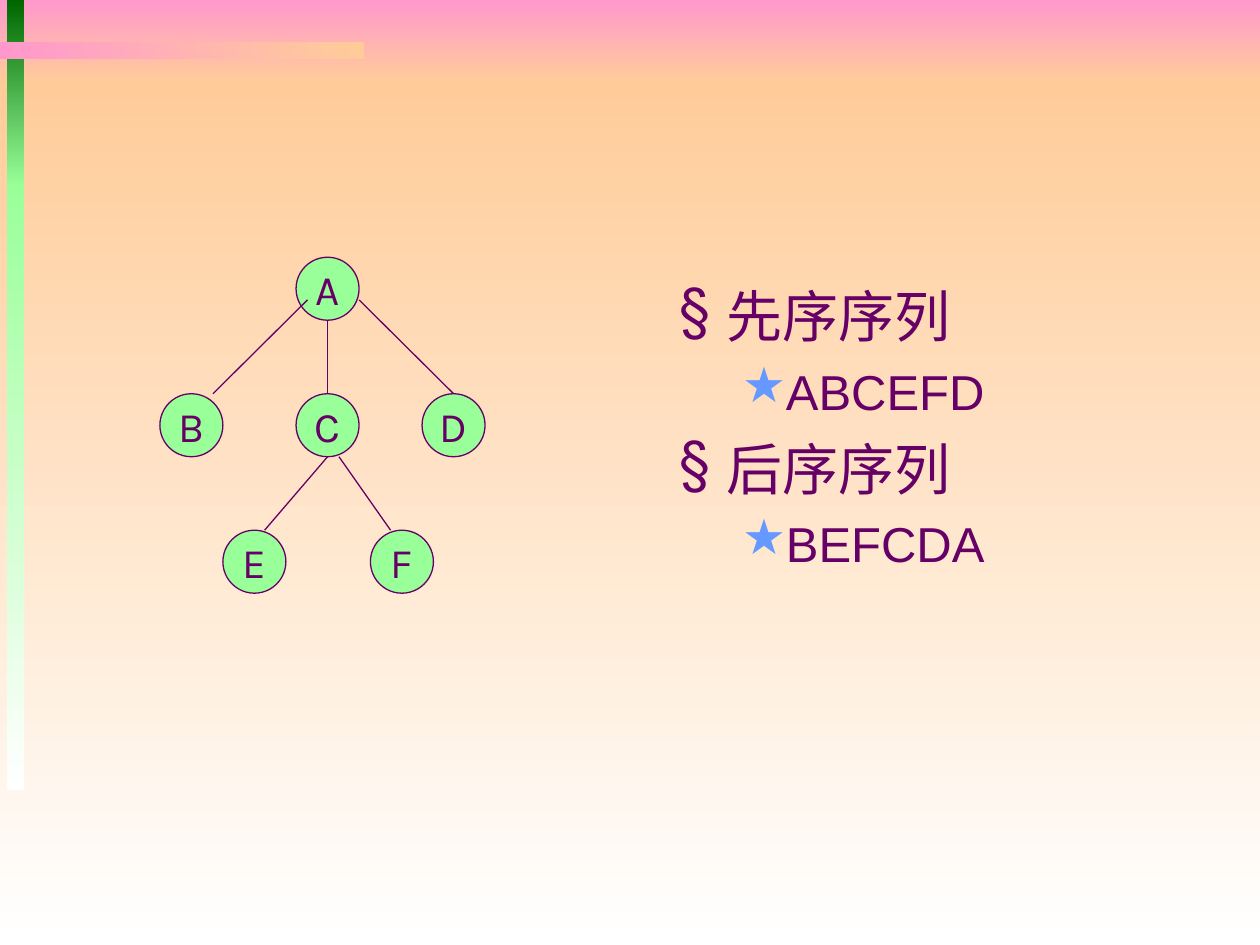
from dataclasses import dataclass

from lxml import etree
from pptx import Presentation
from pptx.dml.color import RGBColor
from pptx.enum.shapes import MSO_CONNECTOR, MSO_SHAPE
from pptx.enum.text import MSO_ANCHOR, PP_ALIGN
from pptx.oxml.ns import qn
from pptx.util import Pt

RECTANGLE, OVAL = MSO_SHAPE.RECTANGLE, MSO_SHAPE.OVAL
STRAIGHT = MSO_CONNECTOR.STRAIGHT
CENTER, MIDDLE = PP_ALIGN.CENTER, MSO_ANCHOR.MIDDLE
DOWN, RIGHTWARD = 270, 0


@dataclass(frozen=True)
class Theme:
    ink: str = "660066"
    node: str = "99FF99"
    star: str = "6699FF"
    pink: str = "FF99CC"
    orange: str = "FFCC99"
    dark_green: str = "006600"
    white: str = "FFFFFF"
    node_font: str = "Karla"
    text_font: str = "Arial"
    node_size: int = 24
    heading_size: int = 32
    sequence_size: int = 28
    line_width: float = 0.75


THEME = Theme()
NODE_SIZE = 36
TREE_TOP, LEVEL_GAP = 147, 78

# Label: (left, level)
NODES = {
    "A": (169.2, 0),
    "B": (91.4, 1), "C": (169.2, 1), "D": (241.2, 1),
    "E": (127.4, 2), "F": (211.7, 2),
}
# x1, y1, x2, level of the child
EDGES = [
    (175.7, 171.4, 121.7, 1),
    (187.2, 183, 187.2, 1),
    (205.2, 171.4, 259.2, 1),
    (187.2, 261, 151.2, 2),
    (193.7, 261, 223.2, 2),
]
TRAVERSALS = [("先序序列", "ABCEFD"), ("后序序列", "BEFCDA")]


def rgb(color):
    return RGBColor.from_string(color)


def level_top(level):
    return TREE_TOP + level * LEVEL_GAP


def add_band(slide, left, top, width, height, colors, angle=DOWN):
    band = slide.shapes.add_shape(RECTANGLE, Pt(left), Pt(top), Pt(width), Pt(height))
    band.shadow.inherit = False
    band.line.fill.background()
    band.fill.gradient()
    band.fill.gradient_angle = angle
    for stop, color in zip(band.fill.gradient_stops, colors):
        stop.color.rgb = rgb(color)


def set_font(paragraph, name, size):
    paragraph.font.name = name
    paragraph.font.size = Pt(size)
    paragraph.font.color.rgb = rgb(THEME.ink)


def add_node(slide, label, left, level):
    node = slide.shapes.add_shape(
        OVAL, Pt(left), Pt(level_top(level)), Pt(NODE_SIZE), Pt(NODE_SIZE))
    node.shadow.inherit = False
    node.fill.solid()
    node.fill.fore_color.rgb = rgb(THEME.node)
    node.line.color.rgb = rgb(THEME.ink)
    node.line.width = Pt(THEME.line_width)
    frame = node.text_frame
    frame.word_wrap = False
    frame.vertical_anchor = MIDDLE
    paragraph = frame.paragraphs[0]
    paragraph.text = label
    paragraph.alignment = CENTER
    set_font(paragraph, THEME.node_font, THEME.node_size)


def add_edge(slide, x1, y1, x2, child_level):
    edge = slide.shapes.add_connector(
        STRAIGHT, Pt(x1), Pt(y1), Pt(x2), Pt(level_top(child_level)))
    edge.line.color.rgb = rgb(THEME.ink)
    edge.line.width = Pt(THEME.line_width)
    etree.SubElement(edge._element.spPr, qn("a:effectLst"))


def set_bullet(paragraph, char, color, margin, hanging):
    properties = paragraph._p.get_or_add_pPr()
    properties.set("marL", str(Pt(margin)))
    properties.set("indent", str(-Pt(hanging)))
    bullet_color = etree.SubElement(properties, qn("a:buClr"))
    etree.SubElement(bullet_color, qn("a:srgbClr"), val=color)
    etree.SubElement(properties, qn("a:buChar"), char=char)


def add_traversals(slide, left, top, width, height):
    frame = slide.shapes.add_textbox(Pt(left), Pt(top), Pt(width), Pt(height)).text_frame
    frame.word_wrap = True
    for index, (heading, sequence) in enumerate(TRAVERSALS):
        title = frame.add_paragraph() if index else frame.paragraphs[0]
        title.text = heading
        set_bullet(title, "§", THEME.ink, 27, 27)
        title.space_before = Pt(8 if index else 0)
        set_font(title, THEME.text_font, THEME.heading_size)

        order = frame.add_paragraph()
        order.text = sequence
        order.level = 1
        set_bullet(order, "★", THEME.star, 58.5, 22.5)
        order.space_before = Pt(7)
        set_font(order, THEME.text_font, THEME.sequence_size)


def main():
    presentation = Presentation()
    presentation.slide_width, presentation.slide_height = Pt(720), Pt(540)
    slide = presentation.slides.add_slide(presentation.slide_layouts[6])

    # Background and decorative bars
    add_band(slide, 0, 0, 720, 48, (THEME.pink, THEME.orange))
    add_band(slide, 0, 48, 720, 492, (THEME.orange, THEME.white))
    add_band(slide, 4, 0, 10, 106.5, (THEME.dark_green, THEME.node))
    add_band(slide, 4, 105, 10, 346.5, (THEME.node, THEME.white))
    add_band(slide, 0, 24, 208, 10, (THEME.pink, THEME.orange), RIGHTWARD)

    # Tree
    for label, (left, level) in NODES.items():
        add_node(slide, label, left, level)
    for edge in EDGES:
        add_edge(slide, *edge)

    # Traversal sequences
    add_traversals(slide, 381, 157.5, 240.5, 214)

    presentation.save("out.pptx")


if __name__ == "__main__":
    main()
